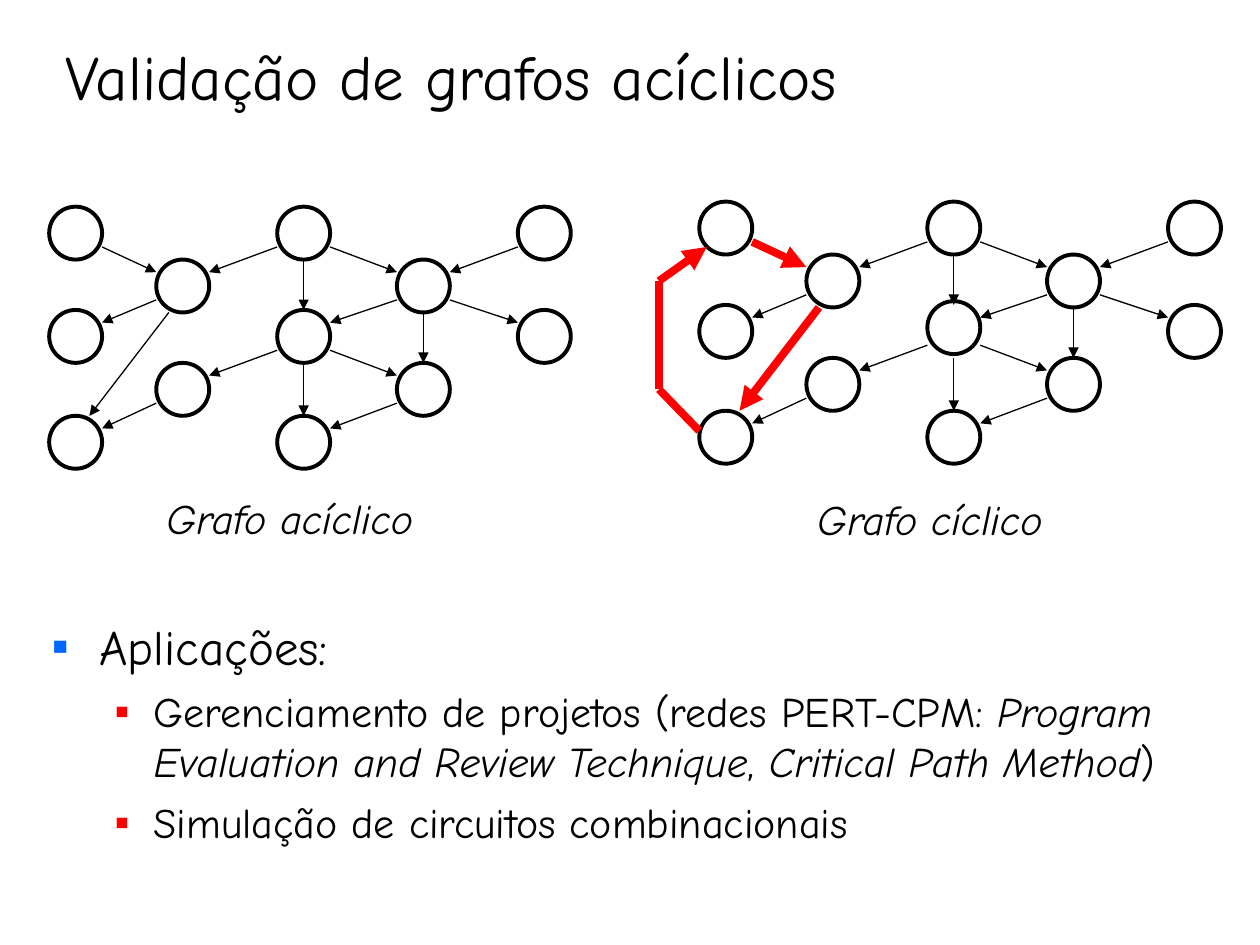
from lxml import etree
from pptx import Presentation
from pptx.dml.color import RGBColor
from pptx.enum.shapes import MSO_CONNECTOR, MSO_SHAPE
from pptx.enum.text import MSO_ANCHOR, MSO_AUTO_SIZE, PP_ALIGN
from pptx.oxml.ns import qn
from pptx.util import Inches, Pt

CIRCLE = MSO_SHAPE.FLOWCHART_CONNECTOR
STRAIGHT = MSO_CONNECTOR.STRAIGHT
LEFT, CENTER = PP_ALIGN.LEFT, PP_ALIGN.CENTER
TOP, BOTTOM = MSO_ANCHOR.TOP, MSO_ANCHOR.BOTTOM
NO_AUTOFIT = MSO_AUTO_SIZE.NONE

FONT = "Comic Neue"
COLORS = {"ink": "000000", "paper": "FFFFFF", "cycle": "FF0000",
          "bullet": "0066FF", "sub_bullet": "FF0000"}

DIAMETER = 0.42
COLUMNS = (0, 0.85, 1.81, 2.76, 3.72)
ROWS = (0, 0.42, 0.82, 1.24, 1.66)
# Each node is a (column, row) position in the grid.
NODES = {"A": (0, 0), "B": (2, 0), "C": (4, 0), "D": (1, 1), "E": (3, 1), "F": (0, 2),
         "G": (2, 2), "H": (4, 2), "I": (1, 3), "J": (3, 3), "K": (0, 4), "L": (2, 4)}
EDGES = "AD BD BG BE CE DF DK EG EJ EH GL GI GJ IK JL".split()


def color(name):
    return RGBColor.from_string(COLORS[name])


def place(shape, box):
    shape.left, shape.top, shape.width, shape.height = map(Inches, box)


def format_run(run, size, italic=False):
    run.font.name = FONT
    run.font.size = Pt(size)
    run.font.italic = italic
    run.font.color.rgb = color("ink")


def add_title(slide, box, text):
    title = slide.shapes.title
    place(title, box)
    frame = title.text_frame
    frame.text = text
    frame.auto_size = NO_AUTOFIT
    frame.vertical_anchor = BOTTOM
    frame.paragraphs[0].alignment = LEFT
    format_run(frame.paragraphs[0].runs[0], 36)


def set_bullet(paragraph, color_name, margin, hanging):
    properties = paragraph._p.get_or_add_pPr()
    properties.set("marL", str(Inches(margin)))
    properties.set("indent", str(-Inches(hanging)))
    bullet_color = etree.SubElement(properties, qn("a:buClr"))
    etree.SubElement(bullet_color, qn("a:srgbClr"), val=COLORS[color_name])
    etree.SubElement(properties, qn("a:buChar"), char="▪")


def add_applications(slide, box, items):
    """Fill the body; each item is a level and its (text, italic) runs."""
    body = slide.placeholders[1]
    place(body, box)
    frame = body.text_frame
    frame.auto_size = NO_AUTOFIT
    frame.vertical_anchor = TOP
    styles = ((28, 7, "bullet", 0.38, 0.38), (24, 6, "sub_bullet", 0.81, 0.31))
    for index, (level, runs) in enumerate(items):
        paragraph = frame.add_paragraph() if index else frame.paragraphs[0]
        size, space, bullet, margin, hanging = styles[level]
        paragraph.level = level
        paragraph.space_before = Pt(space)
        set_bullet(paragraph, bullet, margin, hanging)
        for text, italic in runs:
            run = paragraph.add_run()
            run.text = text
            format_run(run, size, italic)


def add_line(shapes, start, end, highlighted=False, arrow=True):
    connector = shapes.add_connector(STRAIGHT, *map(Inches, (*start, *end)))
    connector.line.color.rgb = color("cycle" if highlighted else "ink")
    connector.line.width = Pt(4.5 if highlighted else 0.75)
    if arrow:
        etree.SubElement(connector.line._get_or_add_ln(), qn("a:tailEnd"), type="triangle")
    etree.SubElement(connector._element.spPr, qn("a:effectLst"))


def add_node(shapes, x, y):
    node = shapes.add_shape(CIRCLE, *map(Inches, (x, y, DIAMETER, DIAMETER)))
    node.shadow.inherit = False
    node.fill.solid()
    node.fill.fore_color.rgb = color("paper")
    node.line.color.rgb = color("ink")
    node.line.width = Pt(2.25)


def edge_ends(source, target):
    """Choose where an edge leaves and enters, from the direction it takes."""
    (x1, y1), (x2, y2) = source, target
    middle, near, far = DIAMETER / 2, 0.1, 0.32
    if x1 == x2:
        return (x1 + middle, y1 + DIAMETER), (x2 + middle, y2)
    if y2 - y1 > abs(x2 - x1):
        return (x1 + near, y1 + DIAMETER), (x2 + far, y2)
    if x2 > x1:
        return (x1 + DIAMETER, y1 + far), (x2, y2 + near)
    return (x1, y1 + far), (x2 + DIAMETER, y2 + near)


def add_caption(shapes, box, text):
    caption = shapes.add_textbox(*map(Inches, box))
    frame = caption.text_frame
    frame.word_wrap = True
    frame.text = text
    frame.paragraphs[0].alignment = CENTER
    format_run(frame.paragraphs[0].runs[0], 24, italic=True)


def add_graph(slide, left, top, caption, caption_box, cycle_edges=(), node_shifts=None):
    """Draw the graph and return its group; node_shifts moves circles vertically."""
    group = slide.shapes.add_group_shape()
    shifts = node_shifts or {}
    positions = {name: (left + COLUMNS[column], top + ROWS[row])
                 for name, (column, row) in NODES.items()}
    for name, (x, y) in positions.items():
        add_node(group.shapes, x, y + shifts.get(name, 0))
    for edge in EDGES:
        start, end = edge_ends(*(positions[name] for name in edge))
        add_line(group.shapes, start, end, highlighted=edge in cycle_edges)
    add_caption(group.shapes, caption_box, caption)
    return group


def add_return_route(group, left, top):
    """Close the cycle from the bottom-left node back to the top-left one."""
    offsets = ((0, 1.82), (-0.32, 1.49), (-0.32, 0.63), (0.06, 0.36))
    points = [(left + x, top + y) for x, y in offsets]
    for start, end in zip(points, points[1:]):
        add_line(group.shapes, start, end, highlighted=True, arrow=end == points[-1])


def main():
    presentation = Presentation()
    presentation.slide_width, presentation.slide_height = Inches(10), Inches(7.5)
    slide = presentation.slides.add_slide(presentation.slide_layouts[1])
    add_title(slide, (0.42, 0.25, 9.08, 0.7), "Validação de grafos acíclicos")
    add_applications(slide, (0.31, 4.84, 9.45, 2.5), (
        (0, [("Aplicações:", False)]),
        (1, [("Gerenciamento de projetos (redes PERT-CPM: ", False),
             ("Program Evaluation and Review Technique", True), (", ", False),
             ("Critical Path Method", True), (")", False)]),
        (1, [("Simulação de circuitos combinacionais", False)]),
    ))
    add_graph(slide, 0.39, 1.64, "Grafo acíclico", (0.62, 3.86, 3.36, 0.5))
    cyclic = add_graph(slide, 5.55, 1.6, "Grafo cíclico", (5.7, 3.87, 3.36, 0.5),
                       cycle_edges=("AD", "DK"), node_shifts={"G": -0.03})
    add_return_route(cyclic, 5.55, 1.6)
    presentation.save("out.pptx")


if __name__ == "__main__":
    main()
